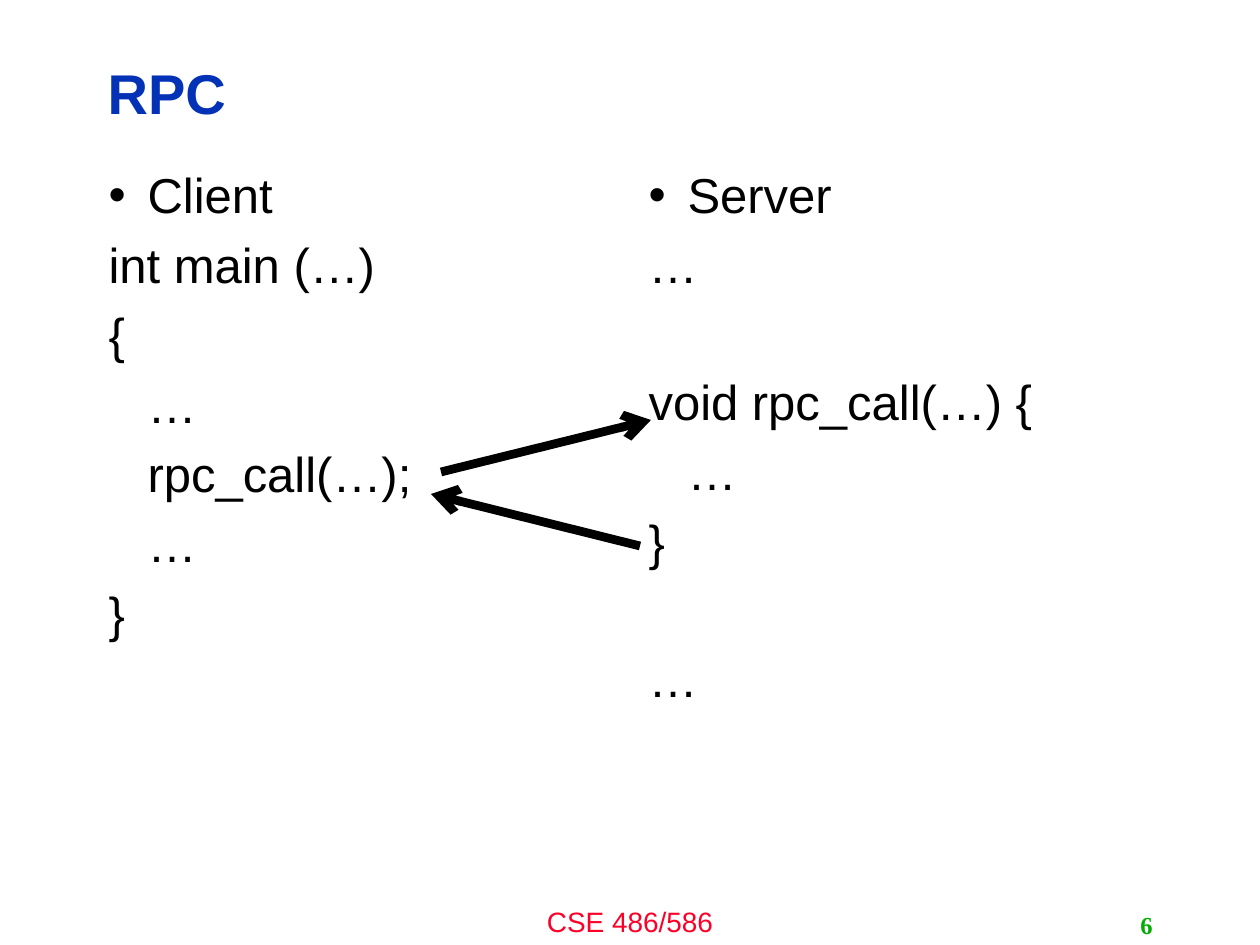
from lxml import etree
from pptx import Presentation
from pptx.dml.color import RGBColor
from pptx.enum.shapes import MSO_CONNECTOR
from pptx.enum.text import MSO_ANCHOR, MSO_AUTO_SIZE, PP_ALIGN
from pptx.oxml.ns import qn
from pptx.util import Emu, Pt

STRAIGHT = MSO_CONNECTOR.STRAIGHT
TOP, MIDDLE = MSO_ANCHOR.TOP, MSO_ANCHOR.MIDDLE
NO_FIT = MSO_AUTO_SIZE.NONE
LEFT, CENTER, RIGHT = PP_ALIGN.LEFT, PP_ALIGN.CENTER, PP_ALIGN.RIGHT

BLACK = RGBColor(0x00, 0x00, 0x00)
BLUE = RGBColor(0x03, 0x32, 0xB7)
RED = RGBColor(0xFC, 0x01, 0x28)
GREEN = RGBColor(0x00, 0xAE, 0x00)

BULLET, CODE, INDENTED = "bullet", "code", "indented"

TITLE = ("RPC", (95, 45, 1005, 102))
# (text, style, empty lines above)
COLUMNS = [
    (96, [
        ("Client", BULLET, 0),
        ("int main (…)", CODE, 0),
        ("{", CODE, 0),
        ("…", INDENTED, 0),
        ("rpc_call(…);", INDENTED, 0),
        ("…", INDENTED, 0),
        ("}", CODE, 0),
    ]),
    (636, [
        ("Server", BULLET, 0),
        ("…", CODE, 0),
        ("void rpc_call(…) {", CODE, 1),
        ("…", INDENTED, 0),
        ("}", CODE, 0),
        ("…", CODE, 1),
    ]),
]
FOOTERS = [
    ("CSE 486/586", (420, 898, 420, 47), CENTER, TOP, "Arial", 16, RED, False),
    ("6", (903, 905, 262, 40), RIGHT, MIDDLE, "Times New Roman", 14, GREEN, True),
]
CALL_AND_RETURN = [(441, 472, 651, 420), (640, 546, 431, 494)]

COLUMN_TOP, COLUMN_WIDTH, COLUMN_HEIGHT = 165, 519, 679
HANG = 39
LINE_SPACING = 0.9
LINE_GAP, LINE_PITCH = 9.65, 38.6


def px(length):
    return Emu(round(length * 914400 / 126))


def place(shape, box):
    shape.left, shape.top, shape.width, shape.height = map(px, box)


def style_runs(paragraph, font_name, size, color, bold=False):
    for run in paragraph.runs:
        run.font.name = font_name
        run.font.size = Pt(size)
        run.font.bold = bold
        run.font.color.rgb = color


def style_line(paragraph, style, blanks, first):
    properties = paragraph._p.get_or_add_pPr()
    properties.set("marL", str(0 if style == CODE else px(HANG)))
    properties.set("indent", str(-px(HANG) if style == BULLET else 0))
    if style == BULLET:
        etree.SubElement(properties, qn("a:buChar"), char="•")
    else:
        etree.SubElement(properties, qn("a:buNone"))
    paragraph.line_spacing = LINE_SPACING
    paragraph.space_before = Pt(0 if first else LINE_GAP + blanks * LINE_PITCH)
    style_runs(paragraph, "Arial", 28, BLACK)


prs = Presentation()
prs.slide_width, prs.slide_height = px(1260), px(945)
slide = prs.slides.add_slide(prs.slide_layouts[3])

title_text, title_box = TITLE
title = slide.shapes.title
place(title, title_box)
title.text_frame.text = title_text
title.text_frame.auto_size = NO_FIT
title.text_frame.vertical_anchor = MIDDLE
heading = title.text_frame.paragraphs[0]
heading.alignment = LEFT
heading.line_spacing = LINE_SPACING
style_runs(heading, "Arial", 32, BLUE, True)

for index, (left, lines) in enumerate(COLUMNS, start=1):
    column = slide.placeholders[index]
    place(column, (left, COLUMN_TOP, COLUMN_WIDTH, COLUMN_HEIGHT))
    frame = column.text_frame
    frame.text = "\n".join(text for text, _, _ in lines)
    frame.auto_size = NO_FIT
    frame.vertical_anchor = TOP
    for number, (paragraph, (_, style, blanks)) in enumerate(zip(frame.paragraphs, lines)):
        style_line(paragraph, style, blanks, number == 0)

for text, box, alignment, anchor, font_name, size, color, bold in FOOTERS:
    frame = slide.shapes.add_textbox(*map(px, box)).text_frame
    frame.word_wrap = True
    frame.vertical_anchor = anchor
    frame.text = text
    frame.paragraphs[0].alignment = alignment
    style_runs(frame.paragraphs[0], font_name, size, color, bold)

for ends in CALL_AND_RETURN:
    arrow = slide.shapes.add_connector(STRAIGHT, *map(px, ends))
    arrow.line.color.rgb = BLACK
    arrow.line.width = Pt(5)
    etree.SubElement(arrow.line._get_or_add_ln(), qn("a:tailEnd"), type="arrow")
    etree.SubElement(arrow._element.spPr, qn("a:effectLst"))

prs.save("out.pptx")
